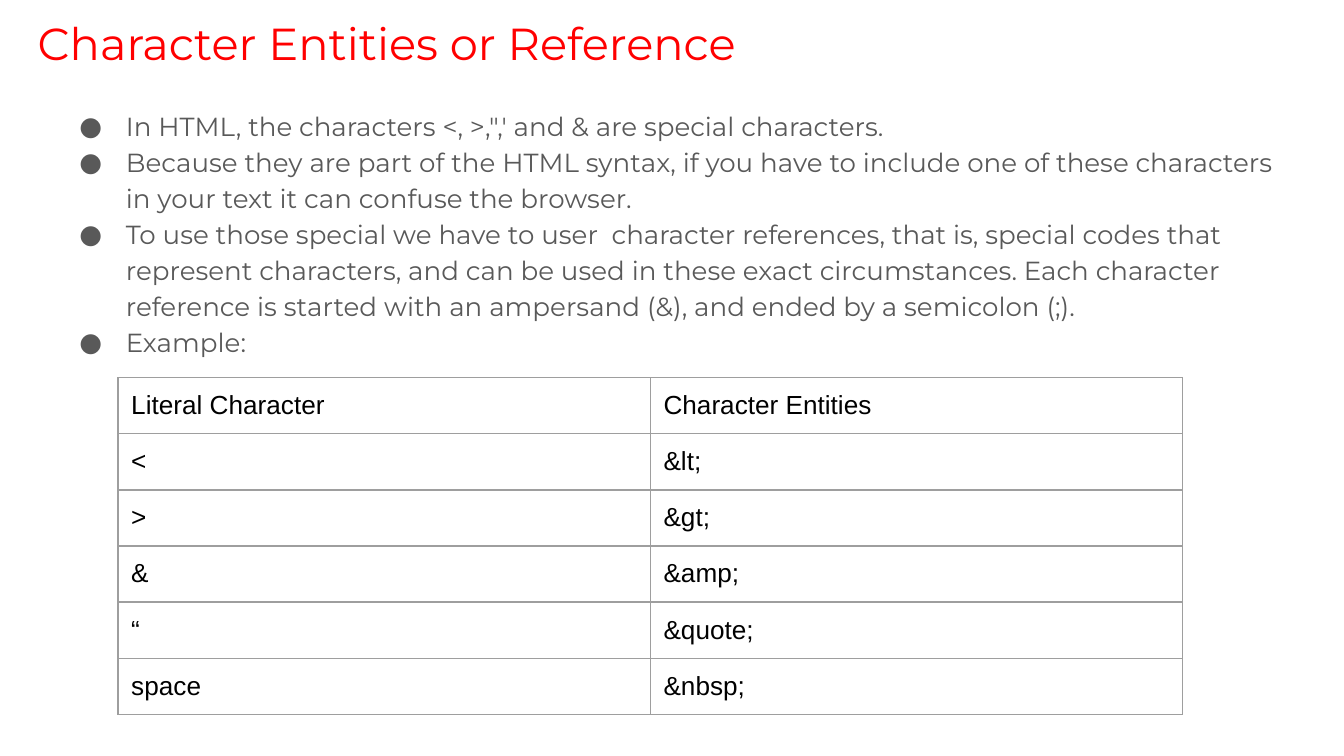
from dataclasses import dataclass

from lxml.etree import SubElement
from pptx import Presentation
from pptx.dml.color import RGBColor
from pptx.enum.text import MSO_ANCHOR, MSO_AUTO_SIZE, PP_ALIGN
from pptx.oxml.ns import qn
from pptx.util import Cm, Pt


@dataclass(frozen=True)
class Theme:
    heading_font: str = "Montserrat"
    table_font: str = "Arial"
    title_color: str = "FF0000"
    body_color: str = "595959"
    table_color: str = "000000"
    border_color: str = "9E9E9E"
    title_size: int = 24
    text_size: int = 14
    border_width: float = 0.75


THEME = Theme()
INSET = Cm(0.25)
MARGINS = dict.fromkeys(
    ("margin_left", "margin_right", "margin_top", "margin_bottom"), INSET)

TITLE = "Character Entities or Reference"
BULLETS = [
    "In HTML, the characters <, >,\",' and & are special characters.",
    "Because they are part of the HTML syntax, if you have to include one of "
    "these characters in your text it can confuse the browser.",
    "To use those special we have to user  character references, that is, "
    "special codes that represent characters, and can be used in these exact "
    "circumstances. Each character reference is started with an ampersand (&), "
    "and ended by a semicolon (;).",
    "Example:",
]
ENTITIES = [
    ("Literal Character", "Character Entities"),
    ("<", "&lt;"),
    (">", "&gt;"),
    ("&", "&amp;"),
    ("“", "&quote;"),
    ("space", "&nbsp;"),
]


def apply(obj, values):
    for name, value in values.items():
        setattr(obj, name, value)


def style_font(font, name, size, color):
    apply(font, {"name": name, "size": Pt(size), "bold": False})
    font.color.rgb = RGBColor.from_string(color)


def style_frame(tf):
    apply(tf, {"word_wrap": True, "auto_size": MSO_AUTO_SIZE.NONE,
               "vertical_anchor": MSO_ANCHOR.TOP, **MARGINS})


def add_title(s, text):
    sp = s.shapes.title
    apply(sp, {"left": Cm(0.46), "top": Cm(0.05),
               "width": Cm(23.67), "height": Cm(1.6)})
    style_frame(sp.text_frame)
    p = sp.text_frame.paragraphs[0]
    p.alignment = PP_ALIGN.LEFT
    r = p.add_run()
    r.text = text
    style_font(r.font, THEME.heading_font, THEME.title_size, THEME.title_color)


def add_bullet(p):
    pPr = p._p.get_or_add_pPr()
    pPr.set("marL", str(Cm(1.27)))
    pPr.set("indent", str(-Cm(0.88)))
    color = SubElement(pPr, qn("a:buClr"))
    SubElement(color, qn("a:srgbClr"), val=THEME.body_color)
    SubElement(pPr, qn("a:buFont"), typeface=THEME.heading_font)
    SubElement(pPr, qn("a:buChar"), char="●")


def add_bullet_list(s, items):
    sp = s.shapes.add_textbox(Cm(0.86), Cm(1.75), Cm(23.67), Cm(11.99))
    tf = sp.text_frame
    style_frame(tf)
    for i, item in enumerate(items):
        p = tf.add_paragraph() if i else tf.paragraphs[0]
        p.line_spacing = 1.15
        add_bullet(p)
        r = p.add_run()
        r.text = item
        style_font(r.font, THEME.heading_font, THEME.text_size, THEME.body_color)


def add_borders(cell):
    tcPr = cell._tc.get_or_add_tcPr()
    for side in ("lnL", "lnR", "lnT", "lnB"):
        ln = SubElement(tcPr, qn(f"a:{side}"), w=str(Pt(THEME.border_width)))
        fill = SubElement(ln, qn("a:solidFill"))
        SubElement(fill, qn("a:srgbClr"), val=THEME.border_color)


def add_entity_table(s, rows):
    col_width, row_height = Cm(10.06), Cm(1.06)
    n_rows, n_cols = len(rows), len(rows[0])
    table = s.shapes.add_table(n_rows, n_cols, Cm(2.23), Cm(7.14),
                               col_width * n_cols, row_height * n_rows).table
    apply(table, {"first_row": False, "horz_banding": False})
    for i, row in enumerate(rows):
        for j, text in enumerate(row):
            cell = table.cell(i, j)
            apply(cell, MARGINS)
            add_borders(cell)
            cell.fill.background()
            r = cell.text_frame.paragraphs[0].add_run()
            r.text = text
            style_font(r.font, THEME.table_font, THEME.text_size,
                       THEME.table_color)


def main():
    prs = Presentation()
    apply(prs, {"slide_width": Cm(25.4), "slide_height": Cm(14.29)})
    s = prs.slides.add_slide(prs.slide_layouts[5])

    # Heading and explanation
    add_title(s, TITLE)
    add_bullet_list(s, BULLETS)

    # Example entities
    add_entity_table(s, ENTITIES)

    prs.save("out.pptx")


if __name__ == "__main__":
    main()
